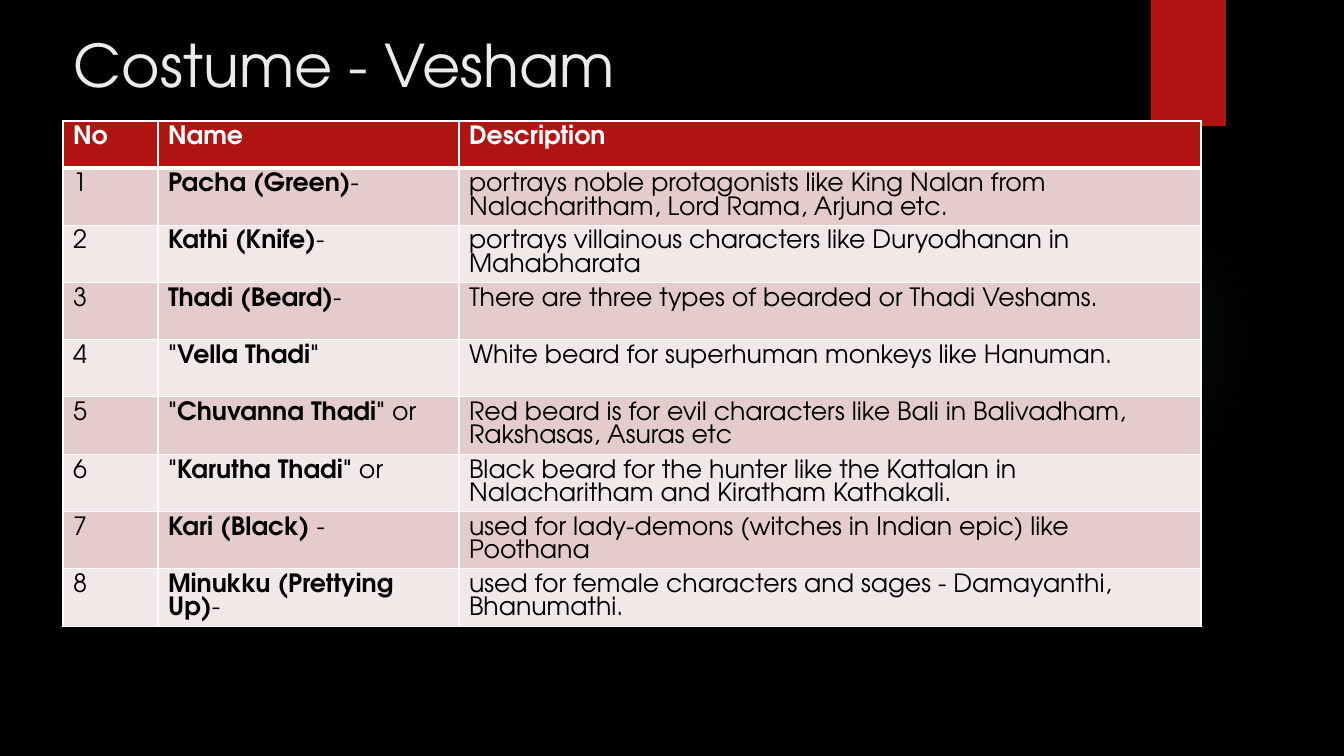
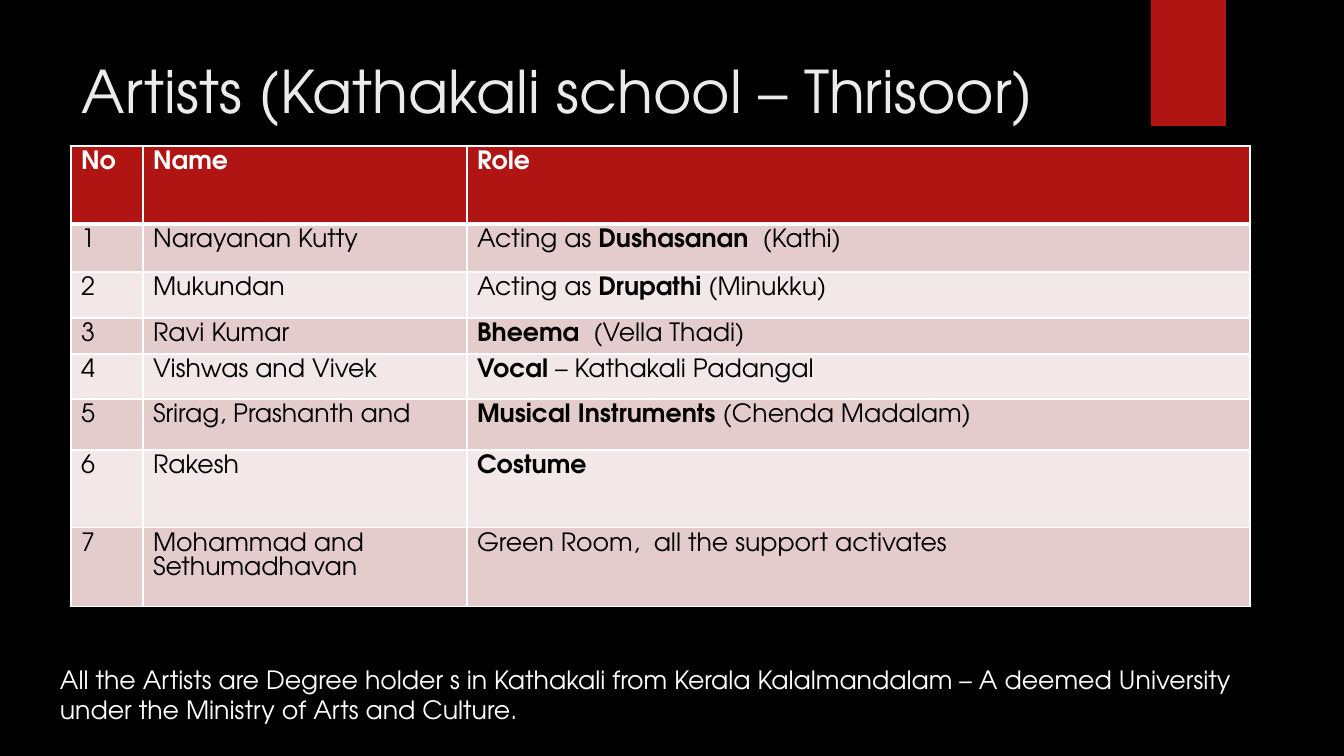
from dataclasses import dataclass

from pptx import Presentation
from pptx.dml.color import RGBColor
from pptx.enum.shapes import MSO_SHAPE
from pptx.enum.text import MSO_ANCHOR, MSO_AUTO_SIZE
from pptx.oxml import parse_xml
from pptx.oxml.ns import nsdecls, qn
from pptx.util import Emu, Pt

EMU_PER_PX = 914400 / 100.8
SLIDE_SIZE = (1344, 756)


# Colours and type sizes
@dataclass(frozen=True)
class Theme:
    font: str = "TeX Gyre Adventor"
    title_size: int = 42
    body_size: int = 18
    background: str = "000000"
    accent: str = "B01513"
    glow: str = "50B9C1"
    title: str = "EBEBEB"
    light_text: str = "FFFFFF"
    dark_text: str = "000000"
    border: str = "FFFFFF"
    bands: tuple = ("E4CCCC", "F2E8E7")
    thin: int = 1
    thick: int = 3


THEME = Theme()

# Content: ** switches bold on and off
COSTUMES = [
    ("No", "Name", "Description"),
    ("1", "**Pacha (Green)**-",
     "portrays noble protagonists like King Nalan from Nalacharitham, Lord Rama, Arjuna etc."),
    ("2", "**Kathi (Knife)**-",
     "portrays villainous characters like Duryodhanan in Mahabharata"),
    ("3", "**Thadi (Beard)**-", "There are three types of bearded or Thadi Veshams."),
    ("4", '**"Vella Thadi"**', "White beard for superhuman monkeys like Hanuman."),
    ("5", '**"Chuvanna Thadi"** or',
     "Red beard is for evil characters like Bali in Balivadham, Rakshasas, Asuras etc"),
    ("6", '**"Karutha Thadi"** or',
     "Black beard for the hunter like the Kattalan in Nalacharitham and Kiratham Kathakali."),
    ("7", "**Kari (Black)** -",
     "used for lady-demons (witches in Indian epic) like Poothana"),
    ("8", "**Minukku (Prettying Up)**-",
     "used for female characters and sages - Damayanthi, Bhanumathi."),
]
ARTISTS = [
    ("No", "Name", "Role"),
    ("1", "Narayanan Kutty", "Acting as **Dushasanan**  (Kathi)"),
    ("2", "Mukundan", "Acting as **Drupathi** (Minukku)"),
    ("3", "Ravi Kumar", "**Bheema ** (Vella Thadi)"),
    ("4", "Vishwas and Vivek", "**Vocal** – Kathakali Padangal"),
    ("5", "Srirag, Prashanth and", "**Musical Instruments **(Chenda Madalam)"),
    ("6", "Rakesh", "**Costume**"),
    ("7", "Mohammad and Sethumadhavan", "Green Room,  all the support activates"),
]
DEGREE_NOTE = ("All the Artists are Degree holder s in Kathakali from Kerala Kalalmandalam "
               "– A deemed University under the Ministry of Arts and Culture.")


def px(length):
    return Emu(round(length * EMU_PER_PX))


def rgb(color):
    return RGBColor.from_string(color)


def apply(target, values):
    for name, value in values.items():
        setattr(target, name, value)


# Text
def write(paragraph, marked_text, color, size=THEME.body_size, bold=False):
    for index, part in enumerate(marked_text.split("**")):
        if part:
            run = paragraph.add_run()
            run.text = part
            apply(run.font, {"name": THEME.font, "size": Pt(size),
                             "bold": bold or index % 2 == 1})
            run.font.color.rgb = rgb(color)


def add_text(slide, box, text, color, size=THEME.body_size, auto_size=MSO_AUTO_SIZE.NONE):
    frame = slide.shapes.add_textbox(*map(px, box)).text_frame
    apply(frame, {"word_wrap": True, "auto_size": auto_size,
                  "vertical_anchor": MSO_ANCHOR.TOP})
    write(frame.paragraphs[0], text, color, size)


# Shared backdrop: black slide, faint glow, red tab
def add_plain_shape(slide, kind, box):
    shape = slide.shapes.add_shape(kind, *map(px, box))
    shape.shadow.inherit = False
    shape.line.fill.background()
    return shape


def add_glow(slide, box):
    glow = add_plain_shape(slide, MSO_SHAPE.OVAL, box)
    glow.fill.background()
    stops = "".join(
        f'<a:gs pos="{position * 1000}"><a:srgbClr val="{THEME.glow}">'
        f'<a:alpha val="{alpha * 1000}"/></a:srgbClr></a:gs>'
        for position, alpha in ((0, 7), (36, 6), (69, 0)))
    gradient = parse_xml(
        f'<a:gradFill {nsdecls("a")} rotWithShape="1"><a:gsLst>{stops}</a:gsLst>'
        '<a:path path="circle"><a:fillToRect l="50000" t="50000" r="50000" b="50000"/>'
        '</a:path></a:gradFill>')
    properties = glow._element.spPr
    properties.replace(properties.find(qn("a:noFill")), gradient)


def add_titled_slide(deck, title, title_box):
    slide = deck.slides.add_slide(deck.slide_layouts[6])
    backdrop = slide.background.fill
    backdrop.solid()
    backdrop.fore_color.rgb = rgb(THEME.background)
    add_glow(slide, (949, 184, 310, 310))
    tab = add_plain_shape(slide, MSO_SHAPE.RECTANGLE, (1151, 0, 75, 126))
    tab.fill.solid()
    tab.fill.fore_color.rgb = rgb(THEME.accent)
    add_text(slide, title_box, title, THEME.title, THEME.title_size)
    return slide


# Tables
def set_borders(cell, row):
    widths = {"L": THEME.thin, "R": THEME.thin,
              "T": THEME.thick if row == 1 else THEME.thin,
              "B": THEME.thick if row == 0 else THEME.thin}
    properties = cell._tc.get_or_add_tcPr()
    for side, width in widths.items():
        properties.append(parse_xml(
            f'<a:ln{side} {nsdecls("a")} w="{Pt(width)}"><a:solidFill>'
            f'<a:srgbClr val="{THEME.border}"/></a:solidFill></a:ln{side}>'))


def format_cell(cell, text, row):
    header = row == 0
    set_borders(cell, row)
    cell.fill.solid()
    cell.fill.fore_color.rgb = rgb(THEME.accent if header else THEME.bands[(row - 1) % 2])
    write(cell.text_frame.paragraphs[0], text,
          THEME.light_text if header else THEME.dark_text, bold=header)


def add_grid(slide, left, top, widths, heights, rows):
    box = (left, top, sum(widths), sum(heights))
    table = slide.shapes.add_table(len(rows), len(widths), *map(px, box)).table
    apply(table, {"first_row": False, "horz_banding": False})
    for column, width in zip(table.columns, widths):
        column.width = px(width)
    for row, (height, texts) in enumerate(zip(heights, rows)):
        table.rows[row].height = px(height)
        for column, text in enumerate(texts):
            format_cell(table.cell(row, column), text, row)


def main():
    deck = Presentation()
    deck.slide_width, deck.slide_height = map(px, SLIDE_SIZE)

    # Costumes
    costume = add_titled_slide(deck, "Costume - Vesham", (64, 24, 1037, 58))
    add_grid(costume, 63, 121, (95, 301, 742), (47, 57, 57, 57, 57, 58, 57, 57, 58), COSTUMES)

    # Artists
    artists = add_titled_slide(deck, "Artists (Kathakali school – Thrisoor)",
                               (72, 50, 1037, 96))
    add_grid(artists, 71, 146, (72, 324, 783), (78, 48, 46, 36, 45, 51, 78, 79), ARTISTS)
    add_text(artists, (50, 659, 1262, 71), DEGREE_NOTE, THEME.light_text,
             auto_size=MSO_AUTO_SIZE.SHAPE_TO_FIT_TEXT)

    deck.save("out.pptx")


if __name__ == "__main__":
    main()
